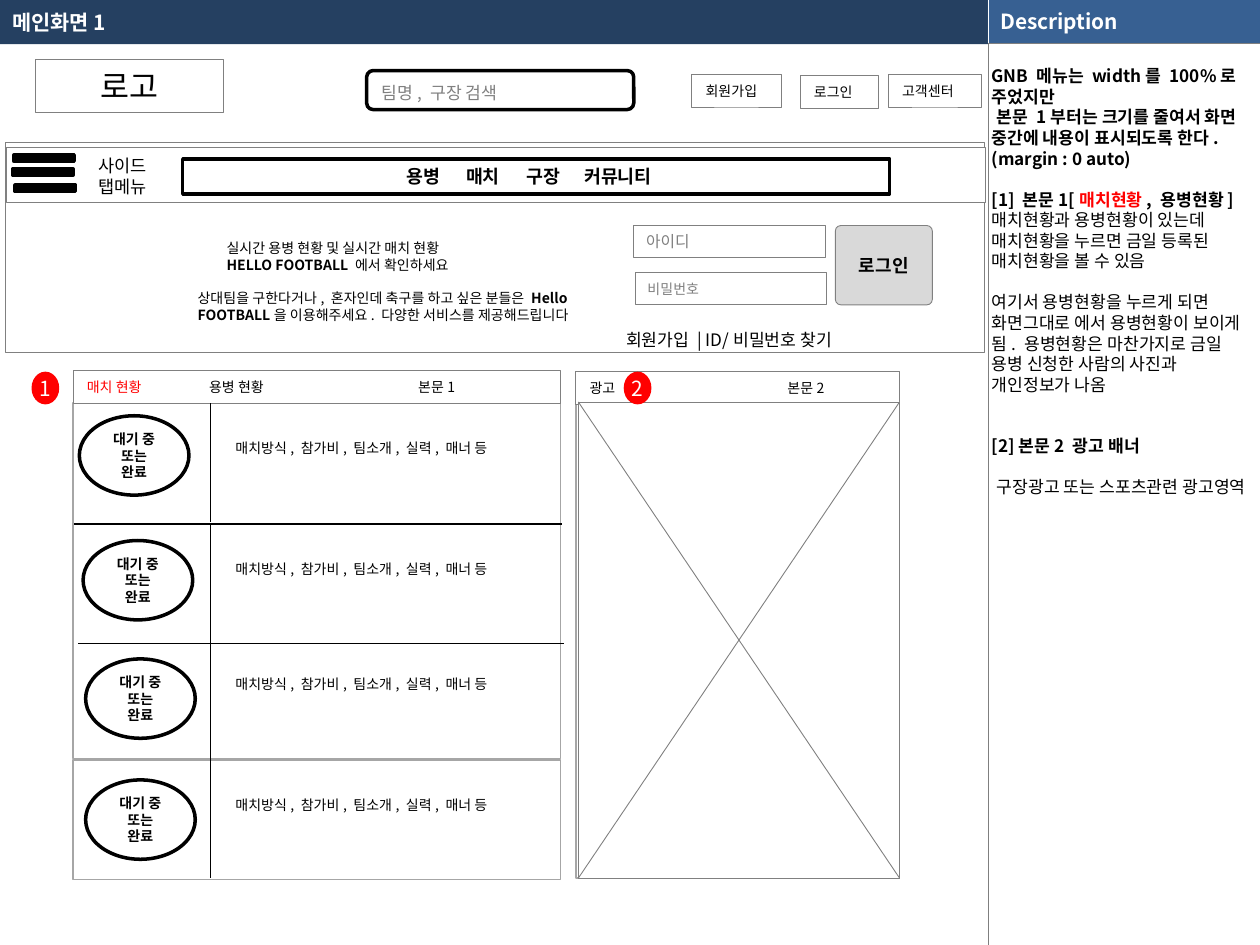
import pptx
import pptx.util
import pptx.dml.color
import pptx.enum.shapes
import pptx.enum.text
import pptx.oxml.ns
from lxml import etree

Inches, Pt = pptx.util.Inches, pptx.util.Pt
KINDS = pptx.enum.shapes.MSO_SHAPE
ALIGN = pptx.enum.text.PP_ALIGN
ANCHOR = pptx.enum.text.MSO_ANCHOR
FONT = "Noto Sans CJK KR"
BLACK, WHITE, GRAY, RED = "000000", "FFFFFF", "808080", "FF0000"
PAD = (0.11, 0.06)
BOLD = {"bold": True}
GAP = 11.7  # one description line, in points

# Content: a paragraph is (runs, format); a run is (text, font values)
BUTTONS = [("회원가입", (5.49, 0.59, 0.71, 0.26)),
           ("로그인", (6.35, 0.6, 0.62, 0.26)),
           ("고객센터", (7.05, 0.59, 0.74, 0.26))]
INPUTS = [("아이디", 9, (5.03, 1.79, 1.52, 0.25)),
          ("비밀번호", 8, (5.04, 2.16, 1.52, 0.26))]
MENU_BARS = [(0.11, 1.23), (0.1, 1.34), (0.12, 1.47)]
INTRO = [
    ([("실시간 용병 현황 및 실시간 매치 현황", {})], {"left": 0.23}),
    ([("HELLO FOOTBALL", BOLD), (" 에서 확인하세요", {})], {"left": 0.23}),
    ([("상대팀을 구한다거나, 혼자인데 축구를 하고 싶은 분들은 ", {}),
      ("Hello FOOTBALL", BOLD),
      ("을 이용해주세요. 다양한 서비스를 제공해드립니다", {})], {"space_before": 9.6}),
]
STATUS = [([("대기 중 또는", BOLD)], {}), ([("완료", BOLD)], {})]
DETAILS = "매치방식, 참가비, 팀소개, 실력, 매너 등"
# Each match row: ellipse left and top, details top, divider top and bottom
ROWS = [(0.63, 3.3, 3.44, 3.2, 4.14), (0.66, 4.29, 4.4, 4.16, 5.11),
        (0.68, 5.23, 5.31, 5.08, 6.02), (0.68, 6.19, 6.27, 6.02, 6.97)]
ROW_LINES = [(0.59, 4.16, 4.46), (0.62, 5.11, 4.48)]
DESCRIPTION = [
    ([("GNB 메뉴는 width를 100%로 주었지만", BOLD)], {}),
    ([("본문 1부터는 크기를 줄여서 화면 중간에 내용이 표시되도록 한다.", BOLD)],
     {"first": 0.04}),
    ([("(margin : 0 auto)", BOLD)], {}),
    ([("[1] 본문1[", BOLD), ("매치현황", {"bold": True, "color": RED}),
      (", 용병현황]", BOLD)], {"space_before": GAP}),
    ([("매치현황과 용병현황이 있는데", {})], {}),
    ([("매치현황을 누르면 금일 등록된", {})], {}),
    ([("매치현황을 볼 수 있음", {})], {}),
    ([("여기서 용병현황을 누르게 되면", {})], {"space_before": GAP}),
    ([("화면그대로 에서 용병현황이 보이게 됨. 용병현황은 마찬가지로 금일 "
       "용병 신청한 사람의 사진과", {})], {}),
    ([("개인정보가 나옴", {})], {}),
    ([("[2]본문2 광고 배너", BOLD)], {"space_before": 2 * GAP}),
    ([("구장광고 또는 스포츠관련 광고영역", {})], {"space_before": GAP, "first": 0.04}),
]

presentation = pptx.Presentation()
presentation.slide_width, presentation.slide_height = Inches(10), Inches(7.5)
slide = presentation.slides.add_slide(presentation.slide_layouts[6])


def rgb(value):
    return pptx.dml.color.RGBColor.from_string(value)


def add_element(parent, tag, **attributes):
    element = etree.SubElement(parent, pptx.oxml.ns.qn(tag))
    for name, value in attributes.items():
        element.set(name, str(value))
    return element


def write(shape, text, size, color=BLACK, bold=False, align=ALIGN.LEFT,
          anchor=ANCHOR.MIDDLE, pad=(0.1, 0.05), wrap=True, tabs=(), spacing=None):
    """Fill a shape with one string or with a list of paragraphs."""
    paragraphs = [([(text, {})], {})] if isinstance(text, str) else text
    frame = shape.text_frame
    frame.word_wrap, frame.vertical_anchor = wrap, anchor
    for side, inset in zip(("left", "right", "top", "bottom"),
                           (pad[0], pad[0], pad[1], pad[1])):
        setattr(frame, "margin_" + side, Inches(inset))
    for index, (runs, style) in enumerate(paragraphs):
        paragraph = frame.add_paragraph() if index else frame.paragraphs[0]
        paragraph.alignment = align
        if spacing:
            paragraph.line_spacing = spacing
        if "space_before" in style:
            paragraph.space_before = Pt(style["space_before"])
        properties = paragraph._p.get_or_add_pPr()
        for key, name in (("left", "marL"), ("first", "indent")):
            if key in style:
                properties.set(name, str(int(Inches(style[key]))))
        if tabs:
            stops = add_element(properties, "a:tabLst")
            for position in tabs:
                add_element(stops, "a:tab", pos=int(Inches(position)), algn="l")
        for words, changes in runs:
            run = paragraph.add_run()
            run.text = words
            values = {"name": FONT, "size": Pt(size), "bold": changes.get("bold", bold)}
            for name, value in values.items():
                setattr(run.font, name, value)
            run.font.color.rgb = rgb(changes.get("color", color))
            add_element(run._r.get_or_add_rPr(), "a:ea", typeface=FONT)


def add_box(place, fill=WHITE, line=GRAY, width=0.5, kind=KINDS.RECTANGLE):
    shape = slide.shapes.add_shape(kind, *map(Inches, place))
    shape.shadow.inherit = False
    if fill:
        shape.fill.solid()
        shape.fill.fore_color.rgb = rgb(fill)
    else:
        shape.fill.background()
    if line:
        shape.line.color.rgb = rgb(line)
        shape.line.width = Pt(width)
    else:
        shape.line.fill.background()
    return shape


def add_text(place, text, size, **style):
    write(slide.shapes.add_textbox(*map(Inches, place)), text, size,
          anchor=ANCHOR.TOP, **style)


def add_line(*ends, color=BLACK, width=0.75):
    connector = slide.shapes.add_connector(
        pptx.enum.shapes.MSO_CONNECTOR.STRAIGHT, *map(Inches, ends))
    connector.line.color.rgb = rgb(color)
    connector.line.width = Pt(width)
    add_element(connector._element.spPr, "a:effectLst")


# Title bar and description column
title = add_box((0, 0, 7.84, 0.35), "254061", None)
write(title, "메인화면1", 11.9, WHITE, bold=True)
heading = add_box((7.84, 0, 2.16, 0.34), "376092", None)
write(heading, "Description", 11.9, WHITE, bold=True)
add_line(7.84, 0, 7.84, 0.35, color=WHITE, width=0.25)
add_line(7.84, 0.34, 7.84, 7.5, color="7F7F7F", width=0.25)
add_line(7.84, 0.345, 10, 0.345, color=GRAY, width=0.75)
add_text((7.83, 0.52, 2.17, 6.98), DESCRIPTION, 9.8, pad=(0.04, 0))

# Logo box, search and header buttons
write(add_box((0.28, 0.47, 1.49, 0.42)), "로고", 18, align=ALIGN.CENTER, pad=PAD)
add_box((2.91, 0.56, 2.12, 0.31), line=BLACK, width=2, kind=KINDS.ROUNDED_RECTANGLE)
search = add_box((2.98, 0.64, 1.19, 0.19), None, WHITE)
write(search, "팀명, 구장 검색", 9.8, GRAY, pad=(0.05, 0.05))
for label, place in BUTTONS:
    write(add_box(place), label, 8, pad=PAD)

# Navigation bar
add_box((0.04, 1.13, 7.77, 1.67))
add_box((0.05, 1.17, 7.77, 0.44))
for left, top in MENU_BARS:
    add_box((left, top, 0.48, 0.05), BLACK, BLACK, 2)
add_text((0.68, 1.18, 0.76, 0.44), "사이드 탭메뉴", 10)
navigation = add_box((1.45, 1.26, 5.61, 0.28), line=BLACK, width=2)
write(navigation, "\t용병\t매치\t구장\t커뮤니티", 10.5, bold=True,
      tabs=(1.68, 2.15, 2.63, 3.09))

# Introduction and login form
add_text((1.47, 1.85, 3.6, 0.81), INTRO, 8)
for label, size, place in INPUTS:
    write(add_box(place), label, size, GRAY)
login = add_box((6.63, 1.79, 0.77, 0.63), "D9D9D9", kind=KINDS.ROUNDED_RECTANGLE)
login.adjustments[0] = 0.07
write(login, "로그인", 10.3, bold=True, align=ALIGN.CENTER)
add_text((4.87, 2.48, 2.49, 0.32), "회원가입 | ID/비밀번호 찾기", 9.8, spacing=1.5)

# Match list
add_box((0.58, 3.2, 3.87, 2.82), None, "A6A6A6", 1)
add_box((0.58, 6.03, 3.87, 0.95), None, "A6A6A6", 1)
write(add_box((0.58, 2.94, 3.87, 0.26)),
      [([("매치 현황", {"color": RED}), ("\t용병 현황\t본문1", {})], {})],
      8, pad=PAD, tabs=(0.97, 2.63))
for left, top, right in ROW_LINES:
    add_line(left, top, right, top)
for left, top, details_top, start, end in ROWS:
    status = add_box((left, top, 0.87, 0.63), line=BLACK, width=2, kind=KINDS.OVAL)
    write(status, STATUS, 8, align=ALIGN.CENTER)
    add_line(1.67, start, 1.67, end)
    add_text((1.77, details_top, 2.57, 0.24), DETAILS, 8)

# Advertisement panel
add_box((4.57, 2.95, 2.57, 4.02), None, "A6A6A6", 1)
write(add_box((4.57, 2.95, 2.57, 0.26)), "광고\t본문2", 8, pad=PAD, tabs=(1.57,))
add_box((4.59, 3.19, 2.55, 3.78))
add_line(4.59, 3.19, 7.14, 6.97, color=GRAY, width=0.5)
add_line(4.59, 6.97, 7.14, 3.19, color=GRAY, width=0.5)

# Numbered markers
for number, left in (("1", 0.25), ("2", 4.95)):
    marker = add_box((left, 2.95, 0.22, 0.26), RED, None, kind=KINDS.OVAL)
    write(marker, number, 11.9, WHITE, align=ALIGN.CENTER, pad=(0, 0), wrap=False)

presentation.save("out.pptx")
